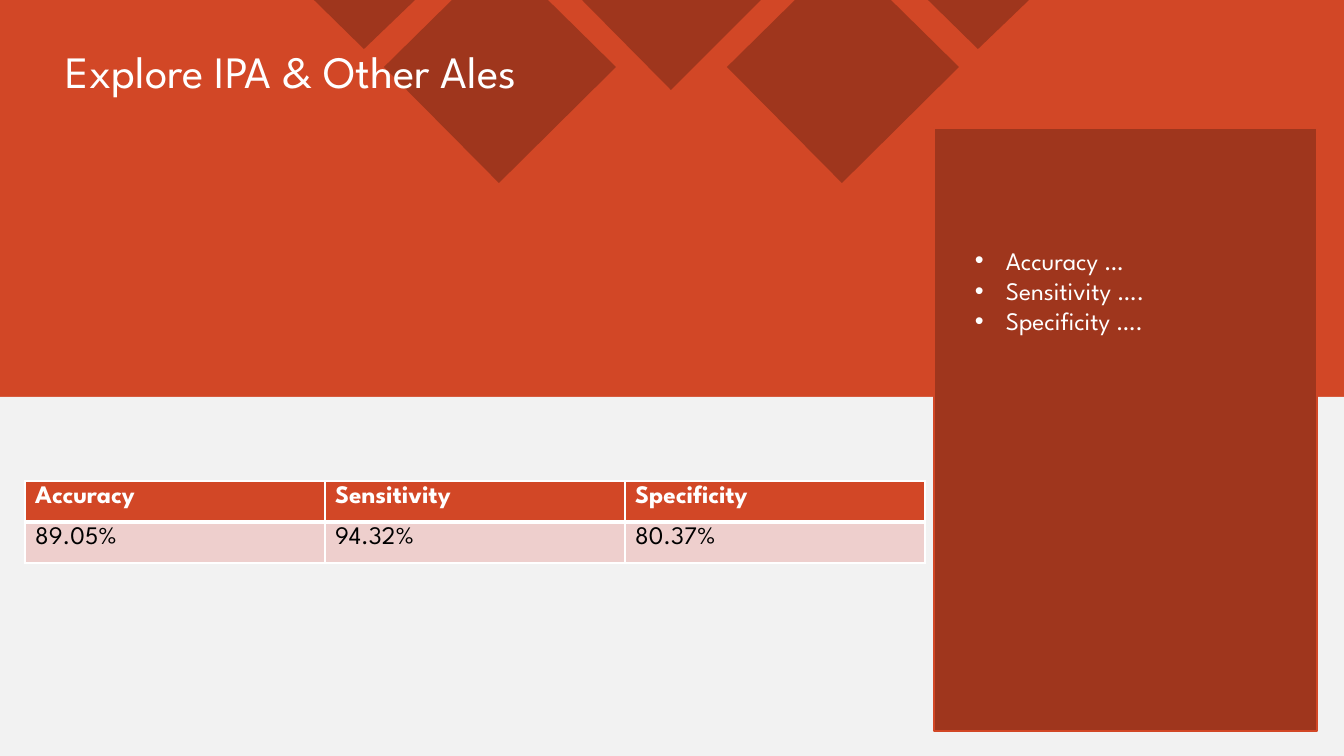
from pptx import Presentation
from pptx.dml.color import RGBColor
from pptx.enum.shapes import MSO_SHAPE as SHAPE
from pptx.enum.text import MSO_ANCHOR as ANCHOR
from pptx.oxml import parse_xml
from pptx.oxml.ns import nsdecls
from pptx.util import Emu, Pt

PX = 914400 / 100.8
THEME = dict(font="League Spartan", orange="D24726", brick="9F361D", grey="F2F2F2",
             pink="EECFCD", white="FFFFFF", black="000000", title=32, body=18)


def px(*lengths):
    return [Emu(round(n * PX)) for n in lengths]


def write(tf, lines, size=THEME["body"], color=THEME["white"], bold=False,
          bullet=False, spacing=None, anchor=ANCHOR.TOP):
    tf.word_wrap = True
    tf.vertical_anchor = anchor
    for i, line in enumerate(lines):
        p = tf.add_paragraph() if i else tf.paragraphs[0]
        if bullet:
            pPr = p._p.get_or_add_pPr()
            indent = px(31)[0]
            pPr.set("marL", str(indent))
            pPr.set("indent", str(-indent))
            pPr.append(parse_xml(f'<a:buFont {nsdecls("a")} typeface="Arial"/>'))
            pPr.append(parse_xml(f'<a:buChar {nsdecls("a")} char="•"/>'))
        if spacing:
            p.line_spacing = spacing
        r = p.add_run()
        r.text = line
        r.font.name = THEME["font"]
        r.font.size = Pt(size)
        r.font.bold = bold
        r.font.color.rgb = RGBColor.from_string(color)


prs = Presentation()
prs.slide_width, prs.slide_height = px(1344, 756)
s = prs.slides.add_slide(prs.slide_layouts[6])

# Background bands and side panel
for box, fill, line in [((0, 0, 1344, 397), "orange", None),
                        ((0, 397, 1344, 359), "grey", None),
                        ((934, 128, 383, 603), "brick", "orange")]:
    sp = s.shapes.add_shape(SHAPE.RECTANGLE, *px(*box))
    sp.shadow.inherit = False
    sp.fill.solid()
    sp.fill.fore_color.rgb = RGBColor.from_string(THEME[fill])
    if line:
        sp.line.color.rgb = RGBColor.from_string(THEME[line])
        sp.line.width = Pt(1.5)
    else:
        sp.line.fill.background()

# Diamonds cut off by the top edge
small = [(314, 0), (415, 0), (364, 49)]
middle = [(582, 0), (761, 0), (671, 90)]
large = [(452, 0), (548, 0), (616, 67), (499, 183), (384, 67)]
for outline, shift in [(middle, 0), (large, 0), (large, 343), (small, 614), (small, 0)]:
    points = [(x + shift, y) for x, y in outline]
    fb = s.shapes.build_freeform(*points[0], scale=PX)
    fb.add_line_segments(points[1:], close=True)
    sp = fb.convert_to_shape()
    sp.shadow.inherit = False
    sp.fill.solid()
    sp.fill.fore_color.rgb = RGBColor.from_string(THEME["brick"])
    sp.line.fill.background()

# Title and panel text
title = s.shapes.add_textbox(*px(56, 25, 1234, 78))
write(title.text_frame, ["Explore IPA & Other Ales"], size=THEME["title"],
      spacing=0.9, anchor=ANCHOR.BOTTOM)
notes = s.shapes.add_textbox(*px(965, 240, 325, 449))
write(notes.text_frame, ["Accuracy …", "Sensitivity ….", "Specificity …."], bullet=True)

# Results table
rows = [["Accuracy", "Sensitivity", "Specificity"], ["89.05%", "94.32%", "80.37%"]]
table = s.shapes.add_table(2, 3, *px(25, 481, 900, 82)).table
for row, values in enumerate(rows):
    header = row == 0
    for col, value in enumerate(values):
        cell = table.cell(row, col)
        write(cell.text_frame, [value], bold=header,
              color=THEME["white" if header else "black"])
        tcPr = cell._tc.get_or_add_tcPr()
        for side in "LRTB":
            thick = (header and side == "B") or (not header and side == "T")
            tcPr.append(parse_xml(
                f'<a:ln{side} {nsdecls("a")} w="{Pt(3 if thick else 1)}"><a:solidFill>'
                f'<a:srgbClr val="{THEME["white"]}"/></a:solidFill></a:ln{side}>'))
        cell.fill.solid()
        cell.fill.fore_color.rgb = RGBColor.from_string(THEME["orange" if header else "pink"])

prs.save("out.pptx")
